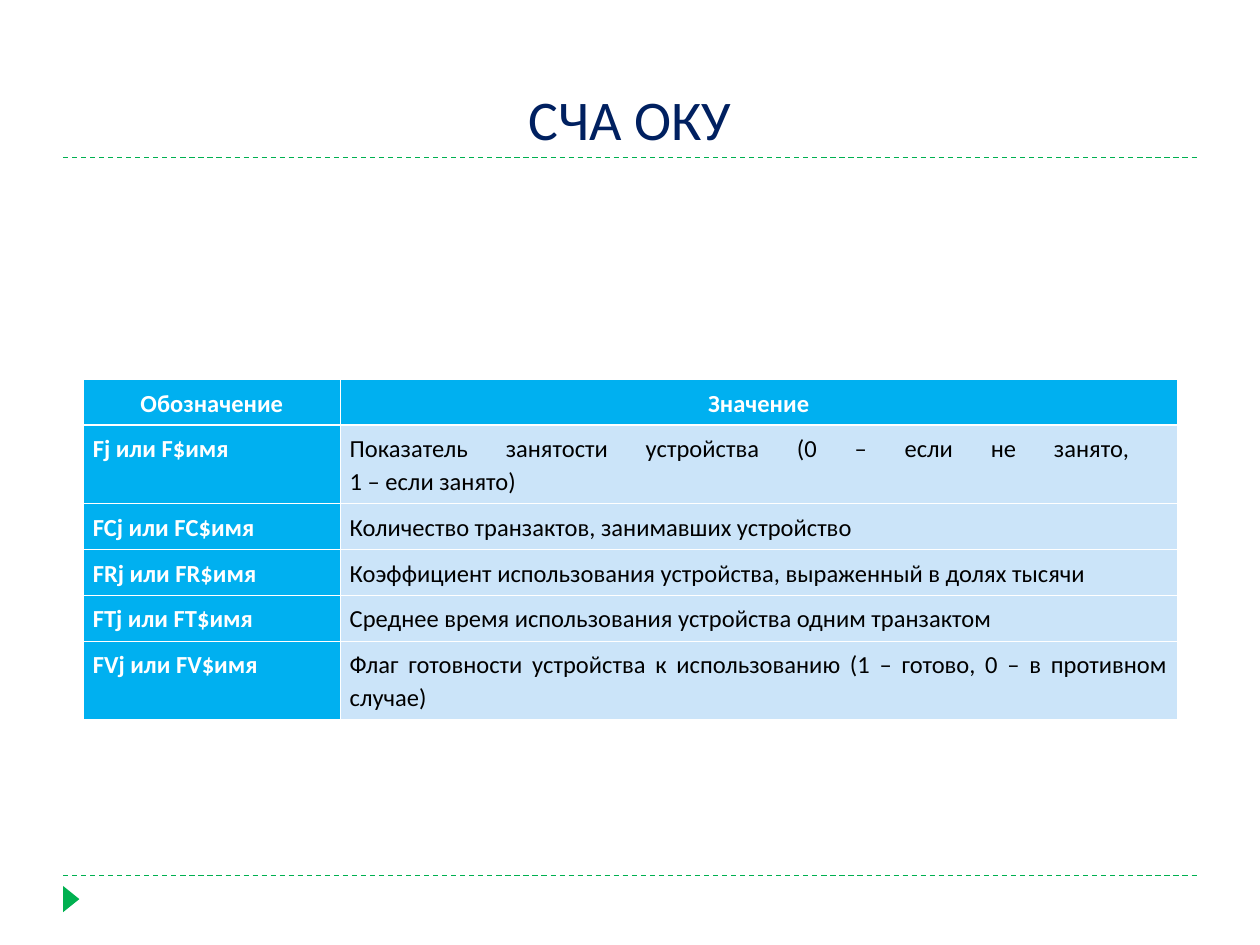
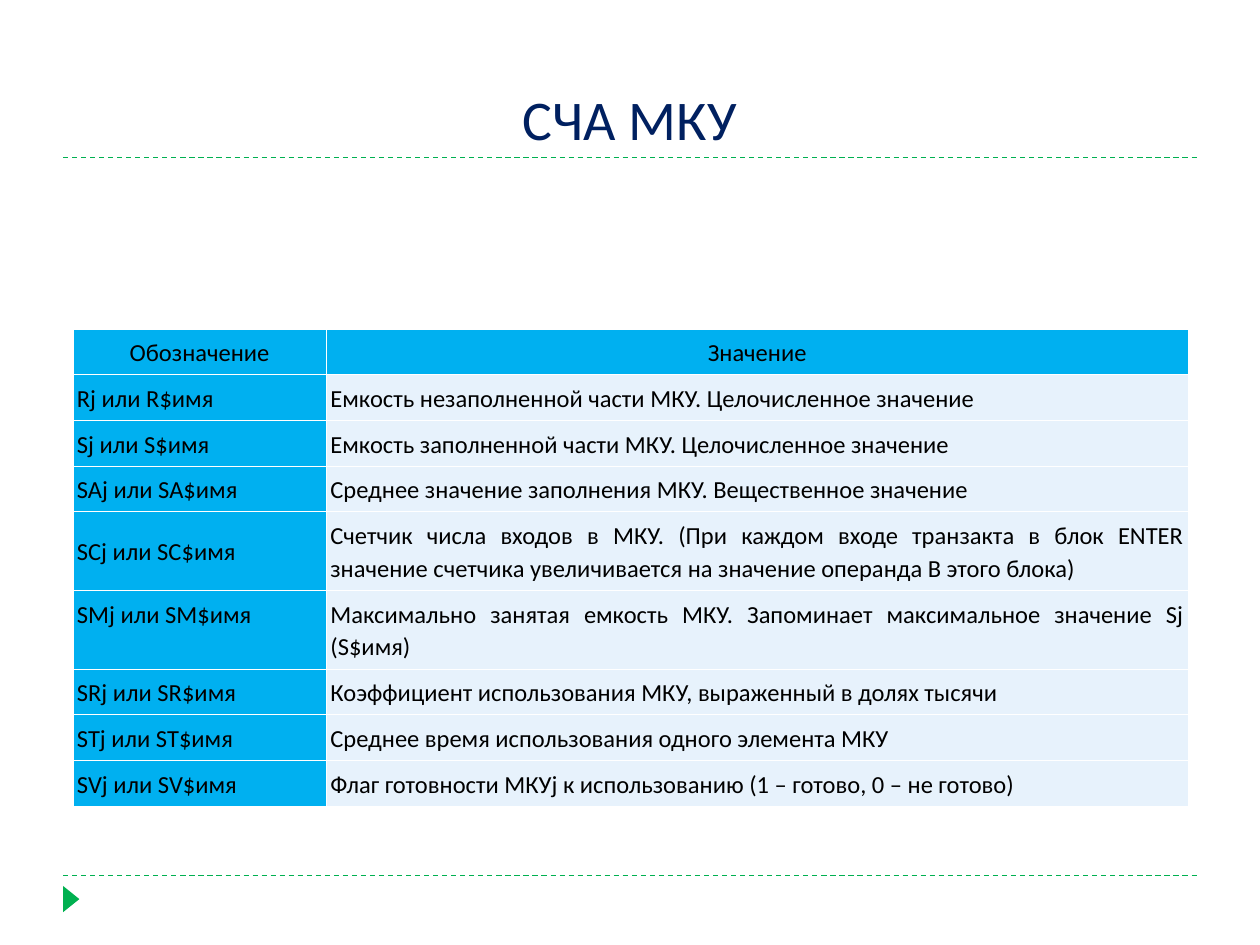
from dataclasses import dataclass

from lxml import etree
from pptx import Presentation
from pptx.dml.color import RGBColor
from pptx.enum.dml import MSO_LINE
from pptx.enum.shapes import MSO_CONNECTOR, MSO_SHAPE
from pptx.enum.text import MSO_ANCHOR, MSO_AUTO_SIZE, PP_ALIGN
from pptx.oxml.ns import qn
from pptx.slide import Slide
from pptx.table import _Cell
from pptx.util import Cm, Pt

STRAIGHT = MSO_CONNECTOR.STRAIGHT
TRIANGLE = MSO_SHAPE.ISOSCELES_TRIANGLE
DASH = MSO_LINE.DASH
LEFT, CENTER, JUSTIFY = PP_ALIGN.LEFT, PP_ALIGN.CENTER, PP_ALIGN.JUSTIFY
TOP, MIDDLE, BOTTOM = MSO_ANCHOR.TOP, MSO_ANCHOR.MIDDLE, MSO_ANCHOR.BOTTOM


@dataclass(frozen=True)
class Theme:
    font: str = "Calibri"
    title_size: int = 32
    cell_size: int = 14
    title: str = "002060"
    accent: str = "00B050"
    label_fill: str = "00B0F0"
    white: str = "FFFFFF"
    black: str = "000000"
    rule_width: float = 0.75
    border_width: float = 0.45
    line_spacing: float = 1.1


THEME = Theme()

# Shared geometry, in centimetres
MARGIN, CONTENT_W = 1.27, 22.86
RULE_YS = (3.18, 17.65)
ROW_H = 0.66
HEADER = ("Обозначение", "Значение")


@dataclass(frozen=True)
class Row:
    label: str
    meaning: str
    height: float = ROW_H
    anchor: MSO_ANCHOR = TOP


@dataclass(frozen=True)
class TableSlide:
    title: str
    left: float
    top: float
    col_widths: tuple[float, float]
    side_inset: float
    label_color: str
    label_bold: bool
    label_align: PP_ALIGN
    value_fill: str
    header_rule: float
    rows: tuple[Row, ...]


SLIDES = (
    TableSlide(
        "СЧА ОКУ", 1.68, 7.65, (5.18, 16.87), 0.19,
        THEME.white, True, LEFT, "CBE4F9", 1.47,
        (
            Row("Fj или F$имя",
                "Показатель занятости устройства (0 – если не занято, \n1 – если занято)", 1.3),
            Row("FCj или FС$имя", "Количество транзактов, занимавших устройство"),
            Row("FRj или FR$имя",
                "Коэффициент использования устройства, выраженный в долях тысячи"),
            Row("FTj или FТ$имя", "Среднее время использования устройства одним транзактом"),
            Row("FVj или FV$имя",
                "Флаг готовности устройства к использованию (1 – готово, 0 – в противном случае)",
                1.3),
        ),
    ),
    TableSlide(
        "СЧА МКУ", 1.47, 6.63, (5.11, 17.37), 0.08,
        THEME.black, False, JUSTIFY, "E7F2FC", THEME.border_width,
        (
            Row("Rj или R$имя", "Емкость незаполненной части МКУ. Целочисленное значение"),
            Row("Sj или S$имя", "Емкость заполненной части МКУ. Целочисленное значение"),
            Row("SAj или SA$имя", "Среднее значение заполнения МКУ. Вещественное значение"),
            Row("SCj или SС$имя",
                "Счетчик числа входов в МКУ. (При каждом входе транзакта в блок ENTER "
                "значение счетчика увеличивается на значение операнда В этого блока)",
                1.35, MIDDLE),
            Row("SMj или SМ$имя",
                "Максимально занятая емкость МКУ. Запоминает максимальное значение Sj (S$имя)",
                1.3),
            Row("SRj или SR$имя", "Коэффициент использования МКУ, выраженный в долях тысячи"),
            Row("STj или ST$имя", "Среднее время использования одного элемента МКУ",
                anchor=MIDDLE),
            Row("SVj или SV$имя",
                "Флаг готовности МКУj к использованию (1 – готово, 0 – не готово)",
                anchor=MIDDLE),
        ),
    ),
)


def rgb(color: str) -> RGBColor:
    return RGBColor.from_string(color)


def add_frame(s: Slide) -> None:
    """Dashed rules and the footer marker."""
    for y in RULE_YS:
        rule = s.shapes.add_connector(STRAIGHT, Cm(MARGIN), Cm(y), Cm(MARGIN + CONTENT_W), Cm(y))
        rule.line.color.rgb = rgb(THEME.accent)
        rule.line.width = Pt(THEME.rule_width)
        rule.line.dash_style = DASH
        etree.SubElement(rule._element.spPr, qn("a:effectLst"))
    marker = s.shapes.add_shape(TRIANGLE, Cm(1.17), Cm(17.96), Cm(0.53), Cm(0.33))
    marker.rotation = 90
    marker.shadow.inherit = False
    marker.fill.solid()
    marker.fill.fore_color.rgb = rgb(THEME.accent)
    marker.line.fill.background()


def set_title(s: Slide, text: str) -> None:
    sp = s.shapes.title
    sp.left, sp.top, sp.width, sp.height = Cm(MARGIN), Cm(0.43), Cm(CONTENT_W), Cm(2.75)
    tf = sp.text_frame
    tf.text = text
    tf.auto_size = MSO_AUTO_SIZE.NONE
    tf.vertical_anchor = BOTTOM
    p = tf.paragraphs[0]
    p.alignment = CENTER
    font = p.runs[0].font
    font.name, font.size = THEME.font, Pt(THEME.title_size)
    font.color.rgb = rgb(THEME.title)


def set_borders(cell: _Cell, top: float, bottom: float) -> None:
    tc_pr = cell._tc.get_or_add_tcPr()
    side = THEME.border_width
    for tag, width in (("lnL", side), ("lnR", side), ("lnT", top), ("lnB", bottom)):
        ln = etree.SubElement(tc_pr, qn(f"a:{tag}"), w=str(Pt(width)))
        fill = etree.SubElement(ln, qn("a:solidFill"))
        etree.SubElement(fill, qn("a:srgbClr"), val=THEME.white)


def fill_cell(cell: _Cell, text: str, fill: str, color: str, bold: bool,
              align: PP_ALIGN, anchor: MSO_ANCHOR, inset: float) -> None:
    cell.margin_left = cell.margin_right = Cm(inset)
    cell.margin_top = cell.margin_bottom = Cm(0.13)
    cell.vertical_anchor = anchor
    cell.fill.solid()
    cell.fill.fore_color.rgb = rgb(fill)
    p = cell.text_frame.paragraphs[0]
    p.text = text
    p.alignment = align
    p.line_spacing = THEME.line_spacing
    for r in p.runs:
        r.font.name, r.font.size, r.font.bold = THEME.font, Pt(THEME.cell_size), bold
        r.font.color.rgb = rgb(color)


def add_attribute_table(s: Slide, spec: TableSlide) -> None:
    rows = (Row(*HEADER), *spec.rows)
    table = s.shapes.add_table(
        len(rows), len(HEADER), Cm(spec.left), Cm(spec.top),
        Cm(sum(spec.col_widths)), Cm(sum(row.height for row in rows)),
    ).table
    table.horz_banding = False
    for column, width in zip(table.columns, spec.col_widths):
        column.width = Cm(width)
    for i, row in enumerate(rows):
        table.rows[i].height = Cm(row.height)
        top = spec.header_rule if i == 1 else THEME.border_width
        bottom = spec.header_rule if i == 0 else THEME.border_width
        for j, text in enumerate((row.label, row.meaning)):
            cell = table.cell(i, j)
            set_borders(cell, top, bottom)
            if i == 0 or j == 0:
                align = CENTER if i == 0 else spec.label_align
                style = (THEME.label_fill, spec.label_color, spec.label_bold, align)
            else:
                style = (spec.value_fill, THEME.black, False, JUSTIFY)
            fill_cell(cell, text, *style, row.anchor, spec.side_inset)


def main() -> None:
    prs = Presentation()
    prs.slide_width, prs.slide_height = Cm(25.4), Cm(19.05)
    title_only = prs.slide_layouts[5]
    for spec in SLIDES:
        s = prs.slides.add_slide(title_only)
        add_frame(s)
        set_title(s, spec.title)
        add_attribute_table(s, spec)
    prs.save("out.pptx")


if __name__ == "__main__":
    main()
